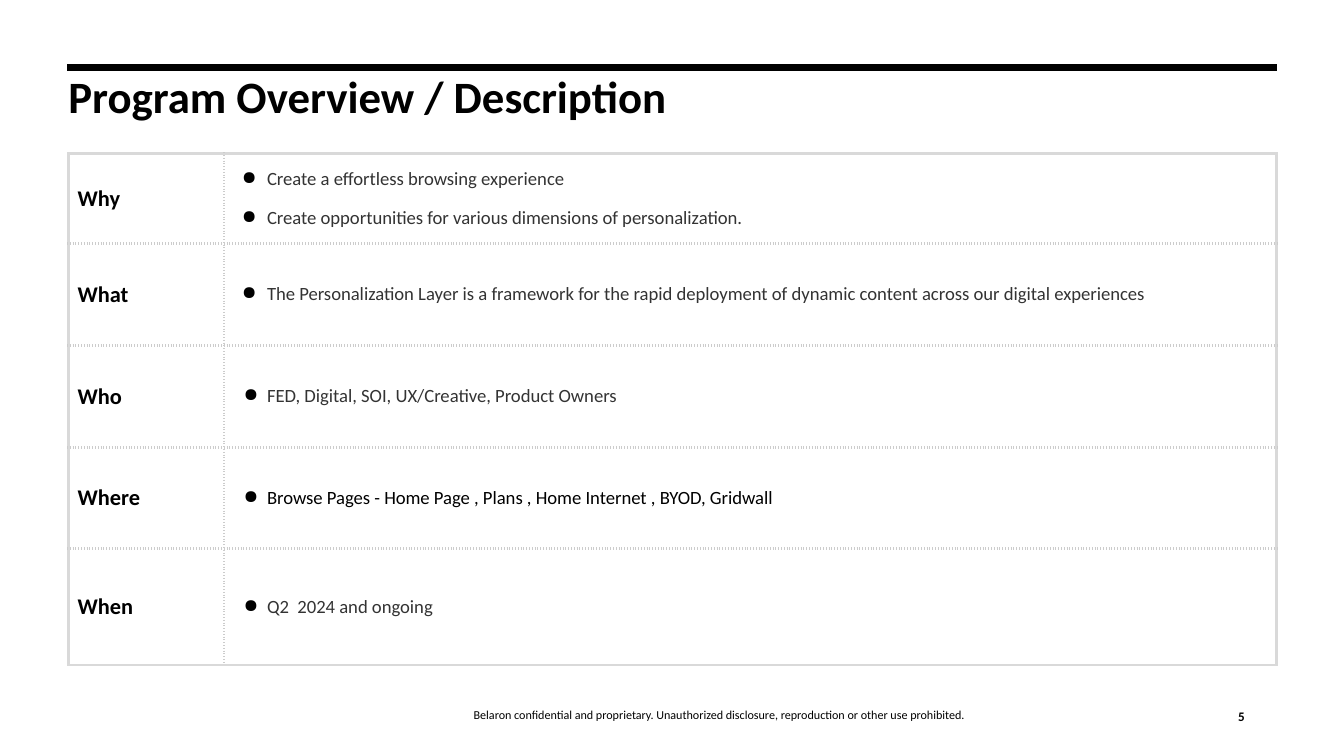
from lxml import etree
from pptx import Presentation
from pptx.dml.color import RGBColor
from pptx.enum import shapes, text
from pptx.oxml import ns
from pptx.util import Pt

FONT = "Calibri"
BLACK, GREY, WHITE = "000000", "333333", "FFFFFF"
FRAME, DOTS = ("D9D9D9", "solid"), ("CCCCCC", "sysDot")

TITLE = "Program Overview / Description"
FOOTER = "Belaron confidential and proprietary. Unauthorized disclosure, reproduction or other use prohibited."
PAGE_NUMBER = "5"
ROWS = [
    ("Why", 48.2, 13.5, GREY, ["Create a effortless browsing experience",
                               "Create opportunities for various dimensions of personalization."]),
    ("What", 54.7, 13.5, GREY, ["The Personalization Layer is a framework for the rapid deployment "
                                "of dynamic content across our digital experiences"]),
    ("Who", 54.7, 12.5, GREY, ["FED, Digital, SOI, UX/Creative, Product Owners"]),
    ("Where", 54, 12.5, BLACK, ["Browse Pages - Home Page , Plans , Home Internet , BYOD, Gridwall"]),
    ("When", 62.6, 12.5, GREY, ["Q2  2024 and ongoing"]),
]
COLUMNS = (83.5, 563.8)
LEFT, TOP = 36.6, 82.2


def rgb(value):
    return RGBColor.from_string(value)


def add(parent, tag, **attributes):
    return etree.SubElement(parent, ns.qn(tag), attributes)


def style(para, size, color=BLACK, bold=False):
    for span in para.runs:
        span.font.name = FONT
        span.font.size = Pt(size)
        span.font.bold = bold
        span.font.color.rgb = rgb(color)


def add_text(page, place, words, size, align, anchor, bold=False, spacing=1.0):
    frame = page.shapes.add_textbox(*map(Pt, place)).text_frame
    frame.word_wrap = True
    frame.margin_left = frame.margin_right = frame.margin_top = frame.margin_bottom = 0
    frame.vertical_anchor = anchor
    frame.text = words
    para = frame.paragraphs[0]
    para.alignment = align
    para.line_spacing = spacing
    style(para, size, bold=bold)


def add_bullet(para, hanging):
    props = para._p.get_or_add_pPr()
    props.set("marL", str(Pt(18)))
    props.set("indent", str(-Pt(hanging)))
    add(add(props, "a:buClr"), "a:srgbClr", val=BLACK)
    add(props, "a:buChar", char="●")


def set_borders(cell, sides):
    props = cell._tc.get_or_add_tcPr()
    for index, (side, (color, dash)) in enumerate(zip("LRTB", sides)):
        line = etree.Element(ns.qn("a:ln" + side), w=str(Pt(1.5)))
        add(add(line, "a:solidFill"), "a:srgbClr", val=color)
        add(line, "a:prstDash", val=dash)
        props.insert(index, line)


def add_overview(page):
    frame = page.shapes.add_table(len(ROWS), len(COLUMNS), Pt(LEFT), Pt(TOP),
                                  Pt(sum(COLUMNS)), Pt(sum(row[1] for row in ROWS)))
    table = frame.table
    table.first_row = table.horz_banding = False
    for column, width in zip(table.columns, COLUMNS):
        column.width = Pt(width)
    for index, (label, height, hanging, color, points) in enumerate(ROWS):
        table.rows[index].height = Pt(height)
        top = FRAME if index == 0 else DOTS
        bottom = FRAME if index == len(ROWS) - 1 else DOTS
        name, detail = table.cell(index, 0), table.cell(index, 1)
        for cell, left, right in ((name, FRAME, DOTS), (detail, DOTS, FRAME)):
            cell.fill.solid()
            cell.fill.fore_color.rgb = rgb(WHITE)
            cell.vertical_anchor = text.MSO_ANCHOR.MIDDLE
            cell.margin_left, cell.margin_right = Pt(5), Pt(3.6)
            cell.margin_top = cell.margin_bottom = Pt(2)
            set_borders(cell, (left, right, top, bottom))
        name.text_frame.text = label
        style(name.text_frame.paragraphs[0], 12, bold=True)
        detail.text_frame.text = "\n".join(points)
        for number, para in enumerate(detail.text_frame.paragraphs):
            add_bullet(para, hanging)
            if number:
                para.space_before = Pt(9)
            style(para, 10, color)


def main():
    deck = Presentation()
    deck.slide_width, deck.slide_height = Pt(720), Pt(405)
    page = deck.slides.add_slide(deck.slide_layouts[6])
    align, anchor = text.PP_ALIGN, text.MSO_ANCHOR

    add_text(page, (105, 363, 561, 23.8), FOOTER, 6.5, align.CENTER, anchor.BOTTOM, spacing=1.14)
    rule = page.shapes.add_connector(shapes.MSO_CONNECTOR.STRAIGHT, Pt(36), Pt(36), Pt(684), Pt(36))
    rule.line.color.rgb = rgb(BLACK)
    rule.line.width = Pt(3.75)
    add(rule._element.spPr, "a:effectLst")
    add_text(page, (648.7, 370, 18, 18), PAGE_NUMBER, 7, align.RIGHT, anchor.BOTTOM, bold=True)
    add_text(page, (LEFT, 42.5, 647.3, 26.6), TITLE, 24, align.LEFT, anchor.TOP, bold=True, spacing=0.8)
    add_overview(page)
    deck.save("out.pptx")


if __name__ == "__main__":
    main()
